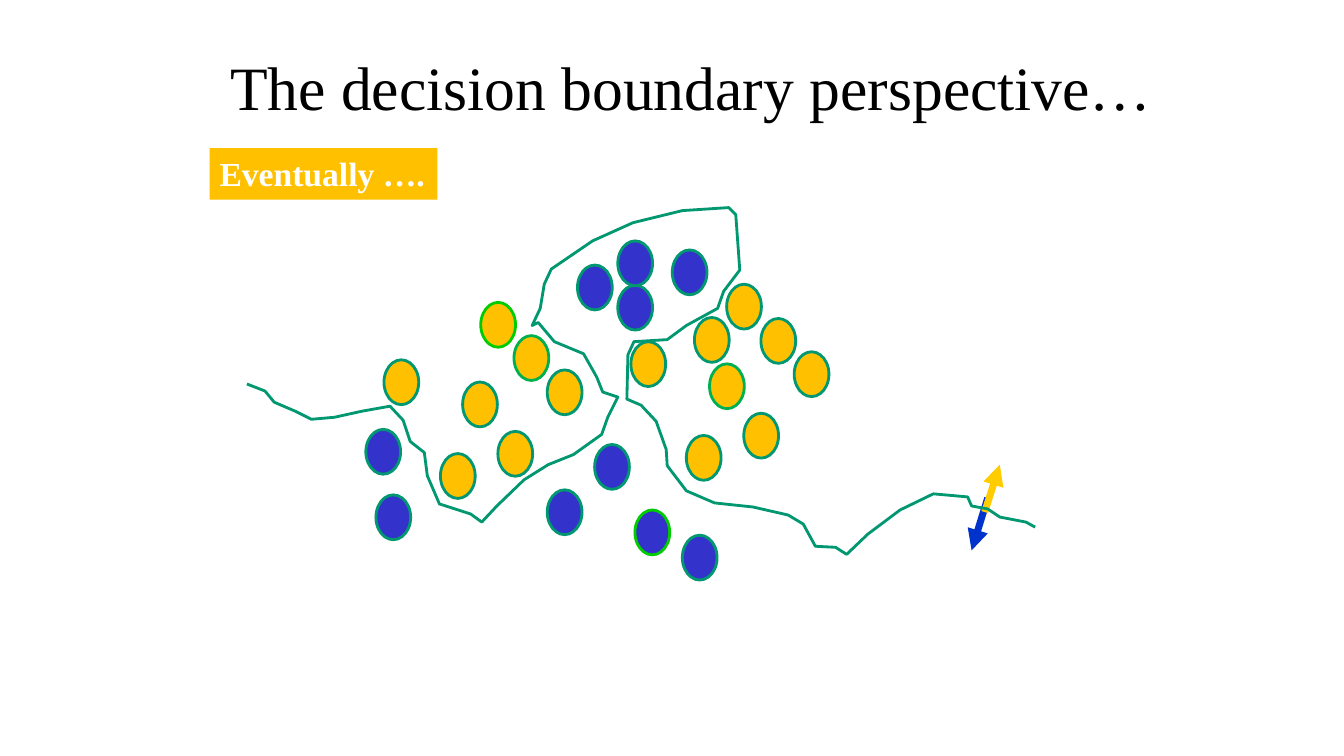
from dataclasses import dataclass

from lxml import etree
from pptx import Presentation
from pptx import util as u
from pptx.dml.color import RGBColor
from pptx.enum import shapes, text
from pptx.oxml import ns


@dataclass(frozen=True)
class Theme:
    font: str = "Times New Roman"
    title_size: int = 44
    label_size: int = 24
    black: str = "000000"
    white: str = "FFFFFF"
    amber: str = "FFC000"
    indigo: str = "3333CC"
    teal: str = "009771"
    green: str = "00B050"
    lime: str = "00CC00"
    blue_arrow: str = "0033CC"
    yellow_arrow: str = "FFCC00"


def grid(*steps):
    return [u.Cm(step * 2.54 / 100) for step in steps]


def add_run(para, words, size, color, bold=False):
    span = para.add_run()
    span.text = words
    span.font.name = theme.font
    span.font.size = u.Pt(size)
    span.font.bold = bold
    span.font.color.rgb = RGBColor.from_string(color)


theme = Theme()
deck = Presentation()
deck.slide_width, deck.slide_height = u.Cm(33.87), u.Cm(19.05)
page = deck.slides.add_slide(deck.slide_layouts[5])

title = page.shapes.title
title.left, title.top, title.width, title.height = grid(205, 44, 962, 82)
title.text_frame.auto_size = text.MSO_AUTO_SIZE.NONE
title.text_frame.vertical_anchor = text.MSO_ANCHOR.MIDDLE
para = title.text_frame.paragraphs[0]
para.alignment = text.PP_ALIGN.CENTER
add_run(para, "The decision boundary perspective…", theme.title_size, theme.black)

samples = [
    (theme.indigo, theme.teal, [
        (677, 531), (573, 263), (373, 491), (363, 426), (667, 248),
        (613, 283), (543, 486), (590, 441), (613, 239)]),
    (theme.indigo, theme.lime, [(630, 506)]),
    (theme.amber, theme.lime, [(477, 300)]),
    (theme.amber, theme.green, [(510, 333), (704, 361)]),
    (theme.amber, theme.teal, [
        (459, 379), (494, 428), (543, 367), (437, 450), (381, 357),
        (721, 282), (755, 316), (738, 410), (788, 349), (681, 432),
        (626, 339), (689, 315)]),
]
for fill, outline, corners in samples:
    for left, top in corners:
        sample = page.shapes.add_shape(
            shapes.MSO_SHAPE.OVAL, *grid(left, top, 34.5, 44.5))
        sample.shadow.inherit = False
        sample.fill.solid()
        sample.fill.fore_color.rgb = RGBColor.from_string(fill)
        sample.line.color.rgb = RGBColor.from_string(outline)
        sample.line.width = u.Pt(2)

arrows = [
    (theme.blue_arrow, (980, 494, 964, 546)),
    (theme.yellow_arrow, (977, 508, 992, 461)),
]
for color, ends in arrows:
    arrow = page.shapes.add_connector(shapes.MSO_CONNECTOR.STRAIGHT, *grid(*ends))
    arrow.line.color.rgb = RGBColor.from_string(color)
    arrow.line.width = u.Pt(5)
    etree.SubElement(arrow.line._get_or_add_ln(), ns.qn("a:tailEnd"), type="triangle")
    etree.SubElement(arrow._element.spPr, ns.qn("a:effectLst"))

label = page.shapes.add_textbox(*grid(208, 147, 226, 51))
label.fill.solid()
label.fill.fore_color.rgb = RGBColor.from_string(theme.amber)
label.text_frame.word_wrap = False
label.text_frame.auto_size = text.MSO_AUTO_SIZE.SHAPE_TO_FIT_TEXT
add_run(label.text_frame.paragraphs[0], "Eventually ….",
        theme.label_size, theme.white, bold=True)

boundary_points = [
    (245, 381), (263, 388), (272, 399), (293, 408), (309, 416), (332, 414),
    (359, 408), (387, 403), (400, 417), (407, 438), (421, 449), (424, 472),
    (436, 500), (467, 510), (478, 518), (493, 502), (520, 476), (544, 461),
    (569, 451), (597, 431), (603, 414), (613, 394), (598, 389), (592, 374),
    (579, 351), (550, 339), (534, 320), (528, 323), (536, 306), (540, 282),
    (547, 267), (588, 239), (628, 221), (677, 209), (723, 206), (730, 213),
    (734, 268), (718, 289), (712, 306), (681, 323), (662, 337), (629, 339),
    (623, 352), (622, 396), (636, 402), (651, 418), (661, 446), (662, 462),
    (681, 487), (709, 499), (747, 503), (782, 511), (797, 520), (809, 542),
    (829, 543), (840, 550), (861, 530), (893, 506), (926, 490), (960, 493),
    (964, 502), (980, 505), (992, 513), (1018, 518), (1027, 523),
]
outline = page.shapes.build_freeform(*boundary_points[0], scale=u.Cm(2.54) / 100)
outline.add_line_segments(boundary_points[1:], close=False)
boundary = outline.convert_to_shape()
boundary.shadow.inherit = False
boundary.fill.background()
boundary.line.color.rgb = RGBColor.from_string(theme.teal)
boundary.line.width = u.Pt(2)
etree.SubElement(boundary.line._get_or_add_ln(), ns.qn("a:round"))

deck.save("out.pptx")
